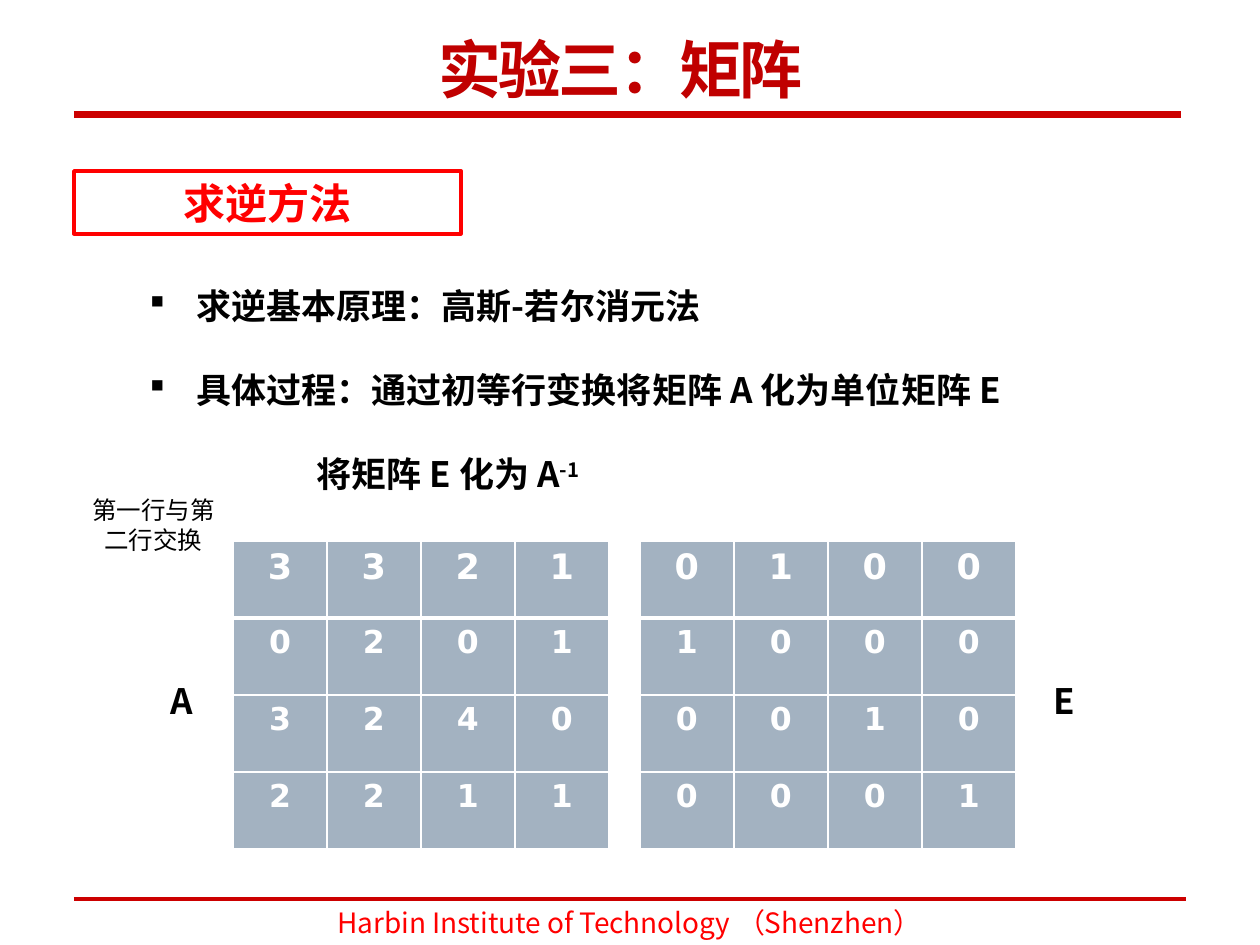
from pptx import Presentation, util as u
from pptx.dml.color import RGBColor
from pptx.enum import shapes, text
from pptx.oxml import ns
from lxml import etree

SCALE = 914400 // 126
DARK_RED = RGBColor(0xC0, 0x00, 0x00)
RULE_RED = RGBColor(0xCC, 0x00, 0x00)
RED = RGBColor(0xFF, 0x00, 0x00)
BLACK = RGBColor(0x00, 0x00, 0x00)
WHITE = RGBColor(0xFF, 0xFF, 0xFF)
CELL_GRAY = RGBColor(0xA3, 0xB2, 0xC1)
SANS, CHINESE, FOOTER_FONT = "DejaVu Sans", "Noto Sans CJK SC", "Noto Sans CJK JP"
CENTER, LEFT = text.PP_ALIGN.CENTER, text.PP_ALIGN.LEFT
TOP, MIDDLE, BOTTOM = text.MSO_ANCHOR.TOP, text.MSO_ANCHOR.MIDDLE, text.MSO_ANCHOR.BOTTOM


def px(*lengths):
    return [u.Emu(length * SCALE) for length in lengths]


def add_node(parent, tag, **attributes):
    node = etree.SubElement(parent, ns.qn(tag))
    for name, value in attributes.items():
        node.set(name, str(value))
    return node


def format_para(para, size, font, color, bold=False, align=LEFT):
    para.alignment = align
    for span in para.runs:
        span.font.size = u.Pt(size)
        span.font.name = font
        span.font.bold = bold
        span.font.color.rgb = color
        add_node(span.font._element, "a:ea", typeface=font)


def indent_para(para, left, hanging=0):
    properties = para._p.get_or_add_pPr()
    properties.set("marL", str(left * SCALE))
    properties.set("indent", str(-hanging * SCALE))
    return properties


def fill_box(shape, words, size, font, color, bold=False, align=CENTER, anchor=TOP):
    frame = shape.text_frame
    frame.text = words
    frame.word_wrap = True
    frame.vertical_anchor = anchor
    format_para(frame.paragraphs[0], size, font, color, bold, align)
    return frame.paragraphs[0]


def add_rule(page, left, right, y, weight):
    rule = page.shapes.add_connector(shapes.MSO_CONNECTOR.STRAIGHT, *px(left, y, right, y))
    rule.line.color.rgb = RULE_RED
    rule.line.width = u.Pt(weight)
    add_node(rule._element.spPr, "a:effectLst")


def add_title(page, box):
    title = page.shapes.title
    title.left, title.top, title.width, title.height = px(*box)
    para = fill_box(title, "实验三：矩阵", 36, SANS, DARK_RED, True, CENTER, BOTTOM)
    para.runs[0].font._element.set("spc", "-150")
    left, top, width, height = box
    add_rule(page, left - 60, left + width + 74, top + height + 3, 4)


def add_footer(page, box):
    footer = page.shapes.add_textbox(*px(*box))
    fill_box(footer, "Harbin Institute of Technology （Shenzhen）", 16, FOOTER_FONT, RED, anchor=MIDDLE)
    left, top, width, height = box
    add_rule(page, left - 139, left + width + 140, top - 1, 2.25)


def add_heading(page, box):
    heading = page.shapes.add_shape(shapes.MSO_SHAPE.RECTANGLE, *px(*box))
    heading.shadow.inherit = False
    heading.fill.background()
    heading.line.color.rgb = RED
    heading.line.width = u.Pt(2)
    fill_box(heading, "求逆方法", 24, CHINESE, RED, True, CENTER, MIDDLE)


def add_steps(page, box):
    frame = page.shapes.add_textbox(*px(*box)).text_frame
    frame.word_wrap = True
    frame.text = "\n".join([
        "求逆基本原理：高斯-若尔消元法",
        "具体过程：通过初等行变换将矩阵 A 化为单位矩阵 E",
        "将矩阵 E 化为 A",
    ])
    bulleted, result = frame.paragraphs[:2], frame.paragraphs[2]
    power = result.add_run()
    power.text = "-1"
    power.font._element.set("baseline", "30000")
    for number, para in enumerate(frame.paragraphs):
        format_para(para, 20, CHINESE, BLACK, True)
        para.line_spacing = u.Pt(26)
        para.space_before = u.Pt(11 if number else 0)
        para.space_after = u.Pt(11)
    for para in bulleted:
        properties = indent_para(para, 110, 47)
        add_node(properties, "a:buFont", typeface="Wingdings", charset=2)
        add_node(properties, "a:buChar", char="§")
    indent_para(result, 230)


def add_label(page, box, words):
    label = page.shapes.add_textbox(*px(*box))
    para = fill_box(label, words, 20, CHINESE, BLACK, True, LEFT)
    para.line_spacing = u.Pt(26)
    indent_para(para, 63)


def add_note(page, box):
    note = page.shapes.add_textbox(*px(*box))
    fill_box(note, "第一行与第二行交换", 14, SANS, BLACK)


def border_cell(cell, bottom, top):
    properties = cell._tc.get_or_add_tcPr()
    weights = [("a:lnL", 1), ("a:lnR", 1), ("a:lnT", top), ("a:lnB", bottom)]
    for position, (tag, weight) in enumerate(weights):
        line = add_node(properties, tag, w=u.Pt(weight))
        add_node(add_node(line, "a:solidFill"), "a:srgbClr", val=WHITE)
        properties.insert(position, line)


def add_matrix(page, box, rows):
    left, top, width, height = box
    count = len(rows)
    table = page.shapes.add_table(count, count, *px(*box)).table
    table.first_row = table.horz_banding = False
    for index in range(count):
        table.columns[index].width = px(width // count)[0]
        table.rows[index].height = px(height // count)[0]
    for r, row in enumerate(rows):
        for c, value in enumerate(row):
            cell = table.cell(r, c)
            cell.text = value
            cell.fill.solid()
            cell.fill.fore_color.rgb = CELL_GRAY
            border_cell(cell, 3 if r == 0 else 1, 3 if r == 1 else 1)
            format_para(cell.text_frame.paragraphs[0], 18 if r else 20, SANS, WHITE, True, CENTER)


def build_matrix_page(deck):
    page = deck.slides.add_slide(deck.slide_layouts[5])
    add_title(page, (134, 26, 973, 86))
    add_footer(page, (213, 900, 833, 45))
    add_heading(page, (74, 171, 387, 63))
    add_steps(page, (74, 275, 1101, 224))
    for left, rows in [
        (233, ("3321", "0201", "3240", "2211")),
        (640, ("0100", "1000", "0010", "0001")),
    ]:
        add_matrix(page, (left, 541, 376, 308), rows)
    for left, name in [(95, "A"), (978, "E")]:
        add_label(page, (left, 670, 159, 55), name)
    add_note(page, (74, 489, 159, 72))


deck = Presentation()
deck.slide_width, deck.slide_height = px(1260, 945)
build_matrix_page(deck)
deck.save("out.pptx")
